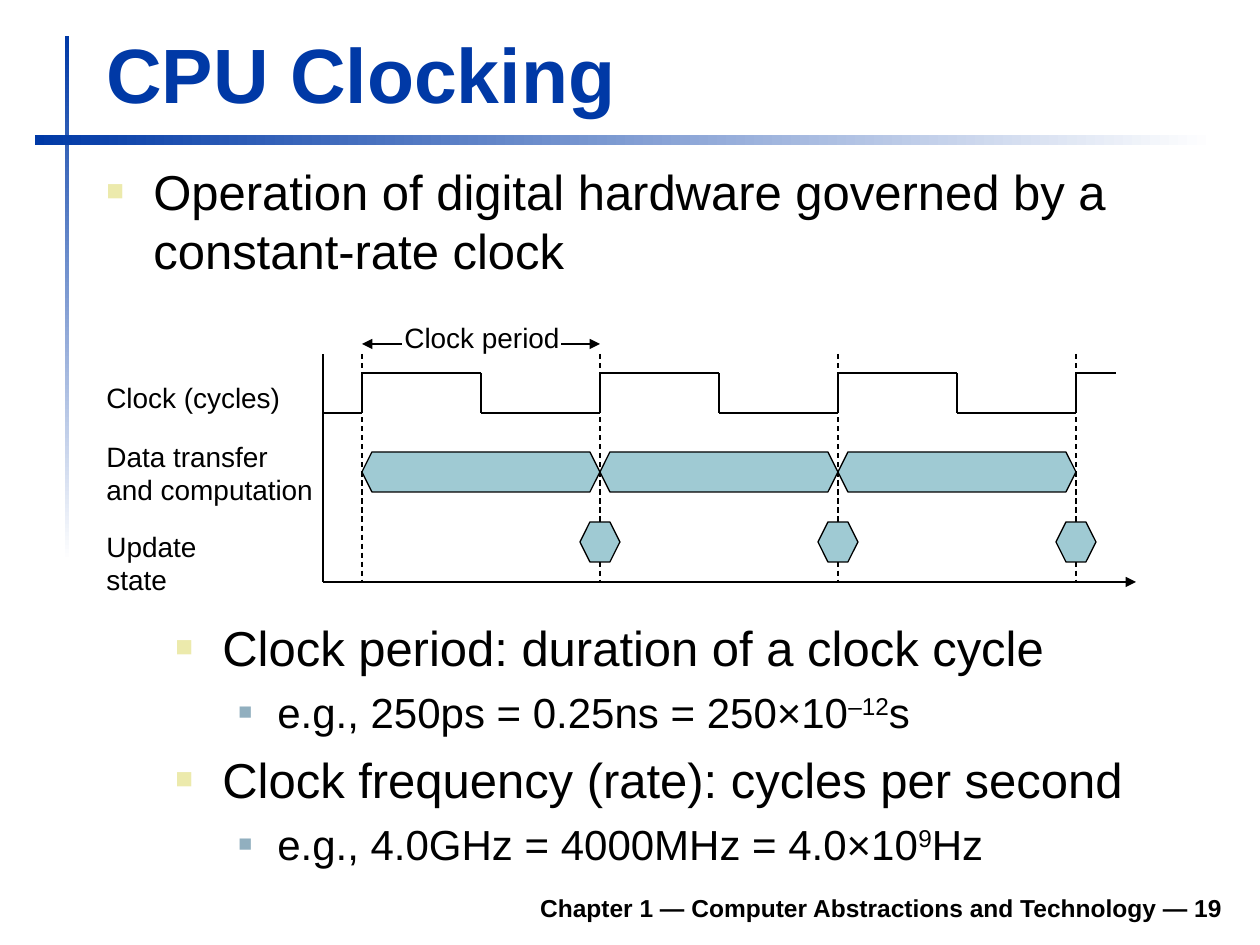
from dataclasses import dataclass

from lxml import etree
from pptx import Presentation
from pptx.dml.color import RGBColor
from pptx.enum.dml import MSO_LINE
from pptx.enum.shapes import MSO_CONNECTOR, MSO_SHAPE
from pptx.enum.text import MSO_ANCHOR, MSO_AUTO_SIZE, PP_ALIGN
from pptx.oxml.ns import qn
from pptx.util import Pt

STRAIGHT = MSO_CONNECTOR.STRAIGHT
RECTANGLE = MSO_SHAPE.RECTANGLE
DASH = MSO_LINE.DASH
TOP, BOTTOM = MSO_ANCHOR.TOP, MSO_ANCHOR.BOTTOM
FIT_SHAPE = MSO_AUTO_SIZE.SHAPE_TO_FIT_TEXT
LEFT, CENTER, RIGHT = PP_ALIGN.LEFT, PP_ALIGN.CENTER, PP_ALIGN.RIGHT

EMU_PER_PX = 914400 / 126


@dataclass(frozen=True)
class Theme:
    font: str = "Arial"
    accent: str = "0039A6"
    background: str = "FFFFFF"
    ink: str = "000000"
    block: str = "9FCAD3"
    bullet_colors: tuple = ("ECEAAC", "91AFBF")
    bullet_percents: tuple = (60, 55)
    bullet_sizes: tuple = (28, 24)
    bullet_spaces: tuple = (7, 6)
    bullet_indents: tuple = ((47, 47), (102, 39))
    title_size: int = 44
    label_size: int = 16
    footer_size: int = 14
    thin: float = 0.75
    thick: float = 1.5


THEME = Theme()

AXIS_X, AXIS_END, AXIS_Y, GUIDE_TOP = 323, 1136, 582, 354
FIRST_EDGE, PERIOD, CYCLES = 362, 238, 3
EDGES = [FIRST_EDGE + PERIOD * cycle for cycle in range(CYCLES + 1)]
CLOCK_HIGH, CLOCK_LOW, CLOCK_END = 373, 413, 1116
PERIOD_Y = 344
DATA_Y, UPDATE_Y, BLOCK_HEIGHT, UPDATE_WIDTH, BEVEL = 452, 522, 40, 40, 10

LABELS = [
    ((94, 374, 199, 47), "Clock (cycles)"),
    ((94, 433, 232, 81), "Data transfer\nand computation"),
    ((94, 523, 183, 47), "Update state"),
]
INTRODUCTION = [
    (0, [("Operation of digital hardware governed by a constant-rate clock", False)]),
]
DEFINITIONS = [
    (0, [("Clock period: duration of a clock cycle", False)]),
    (1, [("e.g., 250ps = 0.25ns = 250×10", False), ("–12", True), ("s", False)]),
    (0, [("Clock frequency (rate): cycles per second", False)]),
    (1, [("e.g., 4.0GHz = 4000MHz = 4.0×10", False), ("9", True), ("Hz", False)]),
]


def px(length):
    return round(length * EMU_PER_PX)


def rgb(color):
    return RGBColor.from_string(color)


def style_font(paragraph, size, color=THEME.ink, bold=False):
    font = paragraph.font
    font.name = THEME.font
    font.size = Pt(size)
    font.bold = bold
    font.color.rgb = rgb(color)


def add_rectangle(slide, box):
    shape = slide.shapes.add_shape(RECTANGLE, *map(px, box))
    shape.shadow.inherit = False
    shape.line.fill.background()
    return shape


def add_fading_bar(slide, box, angle):
    fill = add_rectangle(slide, box).fill
    fill.gradient()
    fill.gradient_angle = angle
    for stop, color in zip(fill.gradient_stops, (THEME.accent, THEME.background)):
        stop.color.rgb = rgb(color)


def add_mask(slide, box):
    fill = add_rectangle(slide, box).fill
    fill.solid()
    fill.fore_color.rgb = rgb(THEME.background)


def add_line(slide, start, end, width=THEME.thin, dash=None, arrows=()):
    connector = slide.shapes.add_connector(STRAIGHT, *map(px, (*start, *end)))
    line = connector.line
    line.width = Pt(width)
    line.color.rgb = rgb(THEME.ink)
    if dash is not None:
        line.dash_style = dash
    properties = connector._element.spPr
    for arrow in arrows:
        etree.SubElement(properties.find(qn("a:ln")), qn(f"a:{arrow}"), type="triangle")
    etree.SubElement(properties, qn("a:effectLst"))


def add_hexagon(slide, left, top, width):
    right, bottom, middle = left + width, top + BLOCK_HEIGHT, top + BLOCK_HEIGHT // 2
    builder = slide.shapes.build_freeform(left, middle, scale=EMU_PER_PX)
    builder.add_line_segments([
        (left + BEVEL, top), (right - BEVEL, top), (right, middle),
        (right - BEVEL, bottom), (left + BEVEL, bottom),
    ], close=True)
    shape = builder.convert_to_shape()
    shape.shadow.inherit = False
    shape.fill.solid()
    shape.fill.fore_color.rgb = rgb(THEME.block)
    shape.line.color.rgb = rgb(THEME.ink)
    shape.line.width = Pt(THEME.thin)


def add_text_frame(slide, box, anchor=TOP):
    frame = slide.shapes.add_textbox(*map(px, box)).text_frame
    frame.word_wrap = True
    frame.vertical_anchor = anchor
    return frame


def add_heading(slide, box, text, size, color=THEME.ink, alignment=LEFT):
    paragraph = add_text_frame(slide, box, BOTTOM).paragraphs[0]
    paragraph.text = text
    paragraph.alignment = alignment
    style_font(paragraph, size, color, bold=True)


def add_label(slide, box, text, alignment=LEFT):
    frame = add_text_frame(slide, box)
    frame.word_wrap = False
    frame.auto_size = FIT_SHAPE
    paragraph = frame.paragraphs[0]
    paragraph.text = text
    paragraph.alignment = alignment
    style_font(paragraph, THEME.label_size)


def set_bullet(paragraph, level):
    margin, hanging = THEME.bullet_indents[level]
    properties = paragraph._p.get_or_add_pPr()
    properties.set("marL", str(px(margin)))
    properties.set("indent", str(-px(hanging)))
    color = etree.SubElement(properties, qn("a:buClr"))
    etree.SubElement(color, qn("a:srgbClr"), val=THEME.bullet_colors[level])
    percent = THEME.bullet_percents[level] * 1000
    etree.SubElement(properties, qn("a:buSzPct"), val=str(percent))
    etree.SubElement(properties, qn("a:buFont"), typeface=THEME.font)
    etree.SubElement(properties, qn("a:buChar"), char="■")


def add_bullets(slide, box, items):
    frame = add_text_frame(slide, box)
    for index, (level, pieces) in enumerate(items):
        paragraph = frame.add_paragraph() if index else frame.paragraphs[0]
        paragraph.level = level
        set_bullet(paragraph, level)
        paragraph.space_before = Pt(THEME.bullet_spaces[level])
        style_font(paragraph, THEME.bullet_sizes[level])
        for text, raised in pieces:
            run = paragraph.add_run()
            run.text = text
            if raised:
                run._r.get_or_add_rPr().set("baseline", "30000")


def add_clock_wave(slide):
    points = [(AXIS_X, CLOCK_LOW)]
    for edge in EDGES[:-1]:
        fall = edge + PERIOD // 2
        points += [(edge, CLOCK_LOW), (edge, CLOCK_HIGH), (fall, CLOCK_HIGH), (fall, CLOCK_LOW)]
    points += [(EDGES[-1], CLOCK_LOW), (EDGES[-1], CLOCK_HIGH), (CLOCK_END, CLOCK_HIGH)]
    for start, end in zip(points, points[1:]):
        add_line(slide, start, end, THEME.thick)


def add_timing_diagram(slide):
    add_line(slide, (EDGES[0], PERIOD_Y), (EDGES[1], PERIOD_Y), arrows=("headEnd", "tailEnd"))
    for edge in EDGES:
        add_line(slide, (edge, GUIDE_TOP), (edge, AXIS_Y), dash=DASH)
    add_clock_wave(slide)
    for edge in EDGES[1:]:
        add_hexagon(slide, edge - UPDATE_WIDTH // 2, UPDATE_Y, UPDATE_WIDTH)
    add_line(slide, (AXIS_X, AXIS_Y), (AXIS_END, AXIS_Y), arrows=("tailEnd",))
    add_line(slide, (AXIS_X, AXIS_Y), (AXIS_X, GUIDE_TOP))
    for box, text in LABELS:
        add_label(slide, box, text)
    add_mask(slide, (402, 334, 159, 20))
    add_label(slide, (392, 314, 180, 47), "Clock period", CENTER)
    for edge in EDGES[:-1]:
        add_hexagon(slide, edge, DATA_Y, PERIOD)


def main():
    presentation = Presentation()
    presentation.slide_width, presentation.slide_height = px(1260), px(945)
    slide = presentation.slides.add_slide(presentation.slide_layouts[6])
    add_fading_bar(slide, (65, 36, 4, 525), 270)
    add_fading_bar(slide, (35, 135, 1180, 10), 0)
    add_heading(slide, (233, 880, 1002, 49),
                "Chapter 1 — Computer Abstractions and Technology — 19",
                THEME.footer_size, alignment=RIGHT)
    add_heading(slide, (94, 20, 1138, 105), "CPU Clocking", THEME.title_size, THEME.accent)
    add_bullets(slide, (94, 155, 1139, 169), INTRODUCTION)
    add_timing_diagram(slide)
    add_bullets(slide, (163, 611, 1071, 268), DEFINITIONS)
    presentation.save("out.pptx")


if __name__ == "__main__":
    main()
